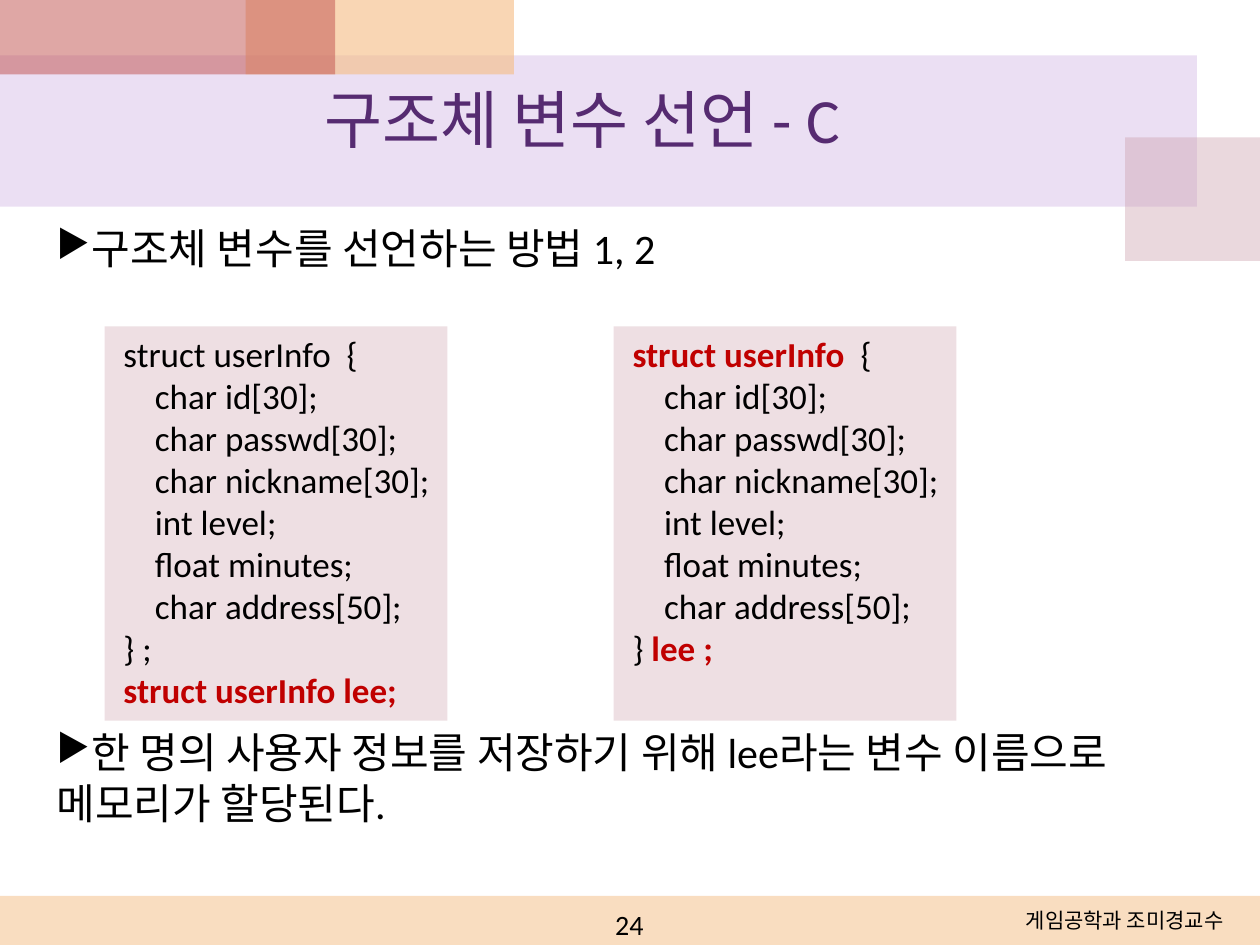
import pptx
import pptx.dml.color
import pptx.enum.shapes
import pptx.enum.text
import pptx.oxml.ns
import pptx.util
from lxml import etree
from pptx.util import Inches

COLORS = {
    "lilac": "BF98D8", "rose": "CC9EAC", "peach": "F5BC83", "red": "C0504D",
    "code": "EEDFE3", "title": "562B71", "text": "000000", "accent": "C00000",
}
ALIGN = pptx.enum.text.PP_ALIGN
ANCHOR = pptx.enum.text.MSO_ANCHOR


def add_run(paragraph, text, size=20, color="text", bold=False):
    run = paragraph.add_run()
    run.text = text
    run.font.name = "Calibri"
    run.font.size = pptx.util.Pt(size)
    run.font.bold = bold
    run.font.color.rgb = pptx.dml.color.RGBColor.from_string(COLORS[color])


class SlideBuilder:
    def __init__(self, slide):
        self.slide = slide

    def block(self, left, top, width, height, color, opacity=100):
        shape = self.slide.shapes.add_shape(
            pptx.enum.shapes.MSO_SHAPE.RECTANGLE,
            Inches(left), Inches(top), Inches(width), Inches(height))
        shape.shadow.inherit = False
        shape.line.fill.background()
        shape.fill.solid()
        shape.fill.fore_color.rgb = pptx.dml.color.RGBColor.from_string(COLORS[color])
        if opacity < 100:
            rgb = shape.fill._xPr.find(".//" + pptx.oxml.ns.qn("a:srgbClr"))
            etree.SubElement(rgb, pptx.oxml.ns.qn("a:alpha"), val=str(opacity * 1000))
        return shape

    def label(self, left, top, width, height, text, align=ALIGN.LEFT,
              anchor=ANCHOR.TOP, **style):
        box = self.slide.shapes.add_textbox(
            Inches(left), Inches(top), Inches(width), Inches(height))
        frame = box.text_frame
        frame.word_wrap = True
        frame.vertical_anchor = anchor
        paragraph = frame.paragraphs[0]
        paragraph.alignment = align
        add_run(paragraph, text, **style)
        return paragraph

    def bullet(self, top, height, text):
        paragraph = self.label(0.35, top, 9.45, height, text, size=24)
        properties = paragraph._p.get_or_add_pPr()
        properties.set("marL", "0")
        properties.set("indent", "0")
        etree.SubElement(properties, pptx.oxml.ns.qn("a:buSzPct"), val="90000")
        etree.SubElement(properties, pptx.oxml.ns.qn("a:buChar"), char="▶")

    def code(self, left, lines):
        """Each line is (indent level, [(text, highlighted), ...])."""
        frame = self.block(left, 2.59, 2.72, 3.13, "code").text_frame
        frame.word_wrap = True
        frame.vertical_anchor = ANCHOR.TOP
        frame.margin_left = Inches(0.15)
        frame.margin_right = 0
        for number, (level, parts) in enumerate(lines):
            paragraph = frame.add_paragraph() if number else frame.paragraphs[0]
            paragraph.alignment = ALIGN.LEFT
            paragraph._p.get_or_add_pPr().set("marL", str(Inches(0.25 * level)))
            for text, highlighted in parts:
                add_run(paragraph, text, bold=highlighted,
                        color="accent" if highlighted else "text")


def main():
    deck = pptx.Presentation()
    deck.slide_width, deck.slide_height = Inches(10), Inches(7.5)
    page = SlideBuilder(deck.slides.add_slide(deck.slide_layouts[6]))

    page.block(0, 0.44, 9.5, 1.2, "lilac", 30)
    page.block(8.93, 1.09, 1.07, 0.98, "rose", 40)
    page.block(1.95, 0, 2.13, 0.59, "peach", 60)
    page.block(0, 0, 2.66, 0.59, "red", 50)
    page.block(0, 7.11, 10, 0.39, "peach", 50)

    page.label(0.12, 0.42, 9, 1.04, "구조체 변수 선언 - C", align=ALIGN.CENTER,
               anchor=ANCHOR.MIDDLE, size=36, color="title")
    page.bullet(1.72, 0.5, "구조체 변수를 선언하는 방법 1, 2")
    page.bullet(5.72, 0.9, "한 명의 사용자 정보를 저장하기 위해 lee라는 변수 이름으로 "
                           "메모리가 할당된다.")

    members = ["char id[30];", "char passwd[30];", "char nickname[30];",
               "int level;", "float minutes;", "char address[50];"]
    fields = [(1, [(member, False)]) for member in members]
    page.code(0.83, [(0, [("struct userInfo  {", False)]), *fields,
                     (0, [("} ;", False)]),
                     (0, [("struct userInfo lee;", True)])])
    page.code(4.87, [(0, [("struct userInfo  ", True), ("{", False)]), *fields,
                     (0, [("} ", False), ("lee ;", True)])])

    page.label(6.64, 7.15, 3.17, 0.27, "게임공학과 조미경교수", align=ALIGN.RIGHT, size=12)
    page.label(3.83, 7.15, 2.33, 0.27, "24", align=ALIGN.CENTER, size=16)
    deck.save("out.pptx")


if __name__ == "__main__":
    main()
